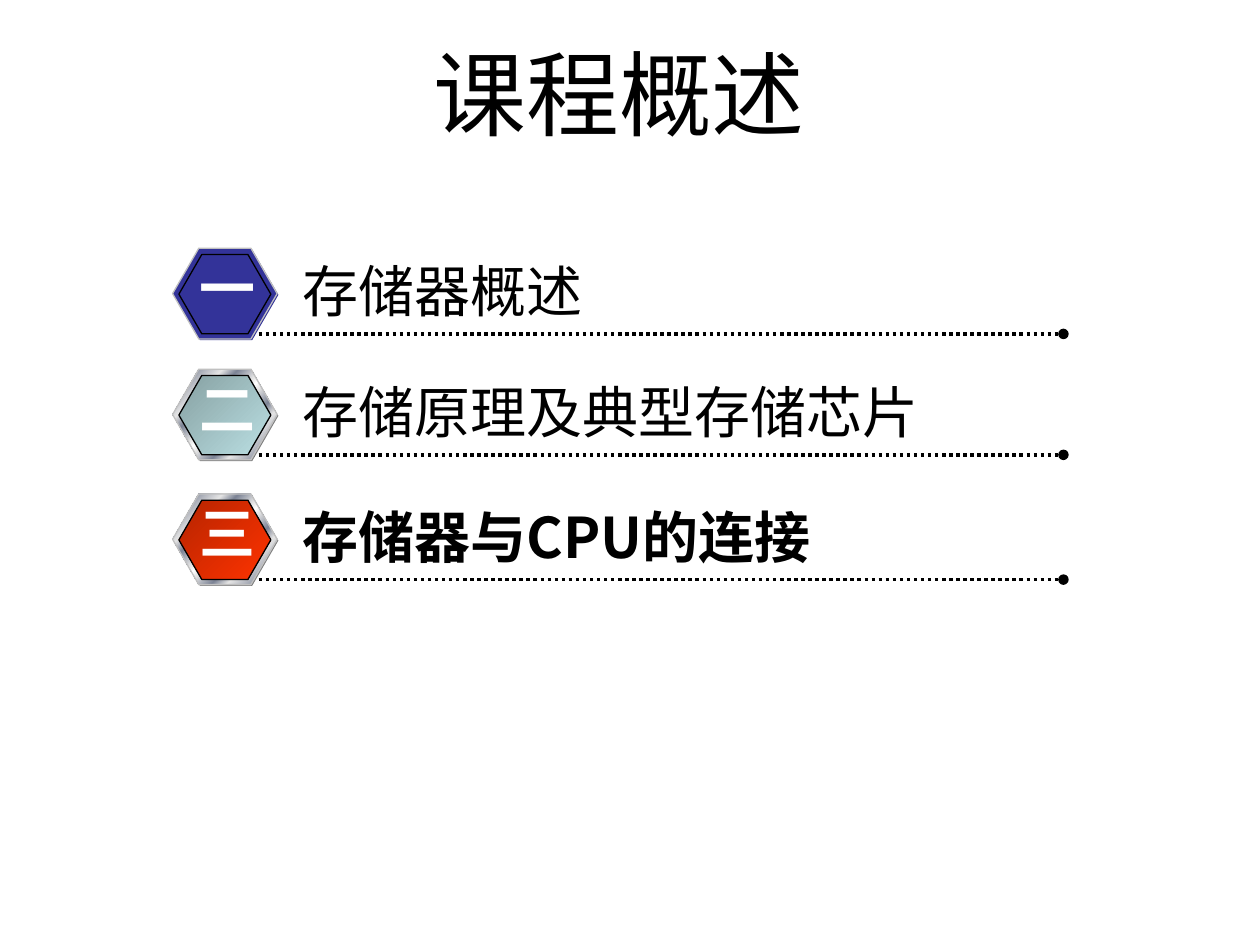
from lxml import etree
from pptx import Presentation
from pptx.dml.color import RGBColor
from pptx.enum.dml import MSO_LINE
from pptx.enum.shapes import MSO_CONNECTOR, MSO_SHAPE
from pptx.enum.text import MSO_ANCHOR, MSO_AUTO_SIZE, PP_ALIGN
from pptx.oxml.ns import qn
from pptx.util import Inches, Pt

HEXAGON, STRAIGHT = MSO_SHAPE.HEXAGON, MSO_CONNECTOR.STRAIGHT
DOTTED = MSO_LINE.ROUND_DOT
CENTER, MIDDLE = PP_ALIGN.CENTER, MSO_ANCHOR.MIDDLE
GROW = MSO_AUTO_SIZE.SHAPE_TO_FIT_TEXT

THEME = {
    "font": "Noto Sans CJK SC", "title": 53, "item": 32,
    "text": "000000", "numeral": "FFFFFF", "edge": "C0C0C0",
    "blue": "333399", "gray": "808080",
    "metal": [(0, "E6E6E6"), (8, "7D8496"), (26, "E6E6E6"), (34, "7D8496"),
              (46, "E6E6E6"), (50, "FFFFFF"), (54, "E6E6E6"), (66, "7D8496"),
              (74, "E6E6E6"), (92, "7D8496"), (100, "E6E6E6")],
    "teal": [(0, "86A0A2"), (100, "BBE0E3")],
    "red": [(0, "B62400"), (100, "FF3300")],
}

TITLE = "课程概述"
# numeral, text, top, text width, bold, (shadow, ring, face) fills
ITEMS = [
    ("一", "存储器概述", 1.97, 6.14, False, ("blue", "blue", "blue")),
    ("二", "存储原理及典型存储芯片", 2.93, 6.56, False, ("gray", "metal", "teal")),
    ("三", "存储器与CPU的连接", 3.92, 5.79, True, ("gray", "metal", "red")),
]
BADGE_X, BADGE_W, BADGE_H = 1.37, 0.83, 0.72
BORDER = 0.05
RULE_X1, RULE_X2, RULE_DROP = 1.83, 8.44, 0.68
TEXT_X, TEXT_H = 2.3, 0.64
NUMERAL_X, NUMERAL_W = 1.48, 0.65


def rgb(value):
    return RGBColor.from_string(value)


def paint(shape, fill):
    """Fill with one colour, or with gradient stops running to the lower right."""
    if isinstance(fill, str):
        shape.fill.solid()
        shape.fill.fore_color.rgb = rgb(fill)
        return
    shape.fill.gradient()
    grad = shape._element.spPr.find(qn("a:gradFill"))
    stops = grad.find(qn("a:gsLst"))
    for old in list(stops):
        stops.remove(old)
    for pos, color in fill:
        gs = etree.SubElement(stops, qn("a:gs"), pos=str(pos * 1000))
        etree.SubElement(gs, qn("a:srgbClr"), val=color)
    grad.find(qn("a:lin")).set("ang", str(45 * 60000))


def add_hexagon(slide, x, y, w, h, fill, line=None):
    s = slide.shapes.add_shape(HEXAGON, Inches(x), Inches(y), Inches(w), Inches(h))
    s.shadow.inherit = False
    s.adjustments[0] = 0.289
    paint(s, fill)
    if line:
        s.line.color.rgb = rgb(line)
        s.line.width = Pt(0.75)
    else:
        s.line.fill.background()


def add_badge(slide, top, fills):
    shadow, ring, face = (THEME[name] for name in fills)
    add_hexagon(slide, BADGE_X + 0.01, top + 0.01, BADGE_W, BADGE_H, shadow)
    add_hexagon(slide, BADGE_X, top, BADGE_W, BADGE_H, ring, THEME["edge"])
    add_hexagon(slide, BADGE_X + BORDER, top + BORDER, BADGE_W - 2 * BORDER,
                BADGE_H - 2 * BORDER + 0.01, face, THEME["text"])


def add_rule(slide, y):
    s = slide.shapes.add_connector(STRAIGHT, Inches(RULE_X1), Inches(y),
                                   Inches(RULE_X2), Inches(y))
    s.line.color.rgb = rgb(THEME["text"])
    s.line.width = Pt(2)
    s.line.dash_style = DOTTED
    etree.SubElement(s.line._get_or_add_ln(), qn("a:tailEnd"), type="oval")
    etree.SubElement(s._element.spPr, qn("a:effectLst"))


def add_text(slide, text, x, y, w, h, size, color, bold=False, wrap=True):
    s = slide.shapes.add_textbox(Inches(x), Inches(y), Inches(w), Inches(h))
    tf = s.text_frame
    tf.word_wrap = wrap
    p = tf.paragraphs[0]
    r = p.add_run()
    r.text = text
    r.font.size = Pt(size)
    r.font.bold = bold
    r.font.color.rgb = rgb(color)
    r.font.name = THEME["font"]
    etree.SubElement(r._r.get_or_add_rPr(), qn("a:ea"), typeface=THEME["font"])
    return tf, p


def main():
    prs = Presentation()
    prs.slide_width, prs.slide_height = Inches(10), Inches(7.5)
    slide = prs.slides.add_slide(prs.slide_layouts[6])

    for item in ITEMS:
        add_rule(slide, item[2] + RULE_DROP)

    for numeral, text, top, width, bold, fills in ITEMS:
        add_badge(slide, top, fills)
        tf, p = add_text(slide, text, TEXT_X, top + 0.02, width, TEXT_H,
                         THEME["item"], THEME["text"], bold)
        tf.auto_size = GROW
        tf, p = add_text(slide, numeral, NUMERAL_X, top - 0.01, NUMERAL_W, TEXT_H,
                         THEME["item"], THEME["numeral"], True, wrap=False)
        tf.auto_size = GROW
        p.alignment = CENTER

    tf, p = add_text(slide, TITLE, 1.25, 0.42, 7.33, 0.62,
                     THEME["title"], THEME["text"])
    tf.vertical_anchor = MIDDLE
    p.alignment = CENTER

    prs.save("out.pptx")


if __name__ == "__main__":
    main()
